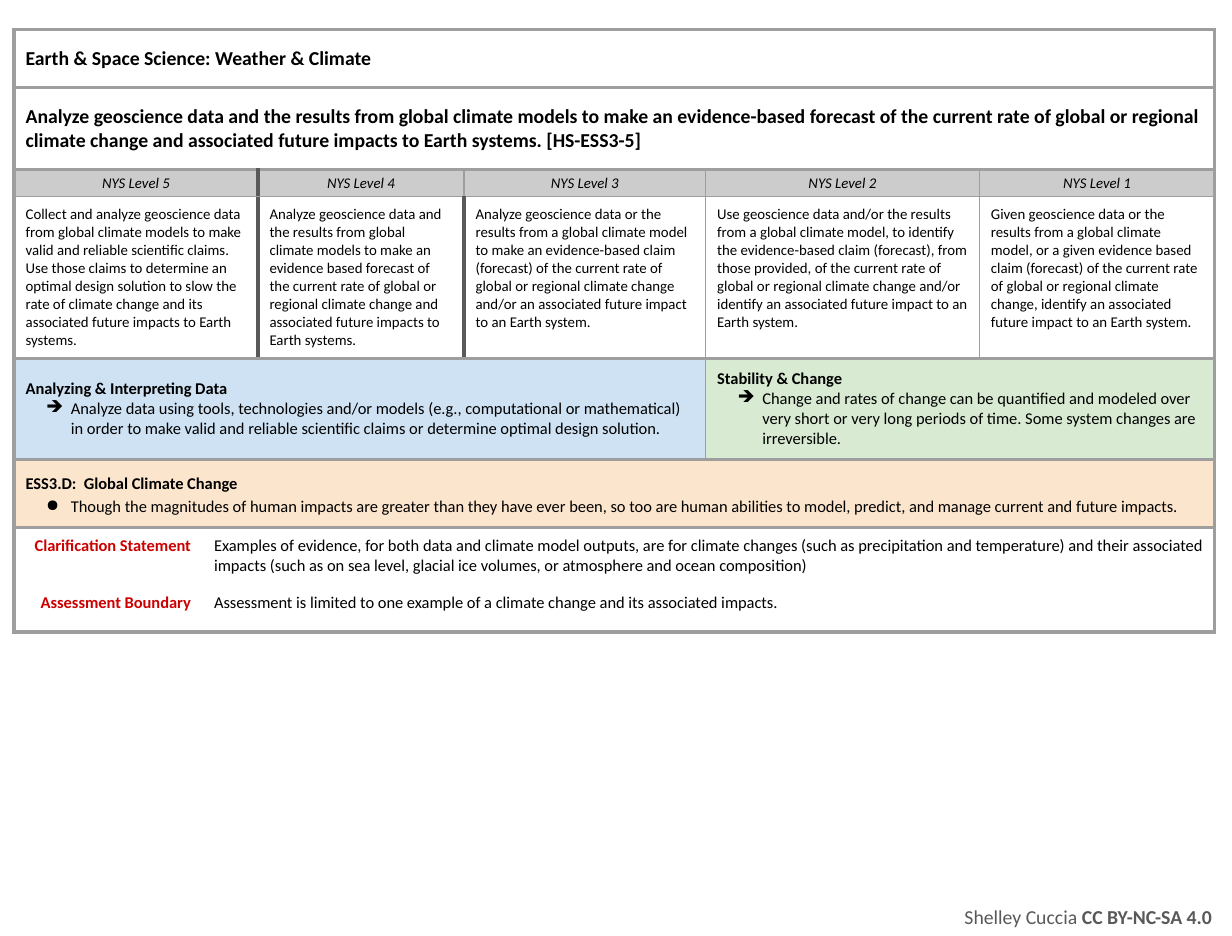
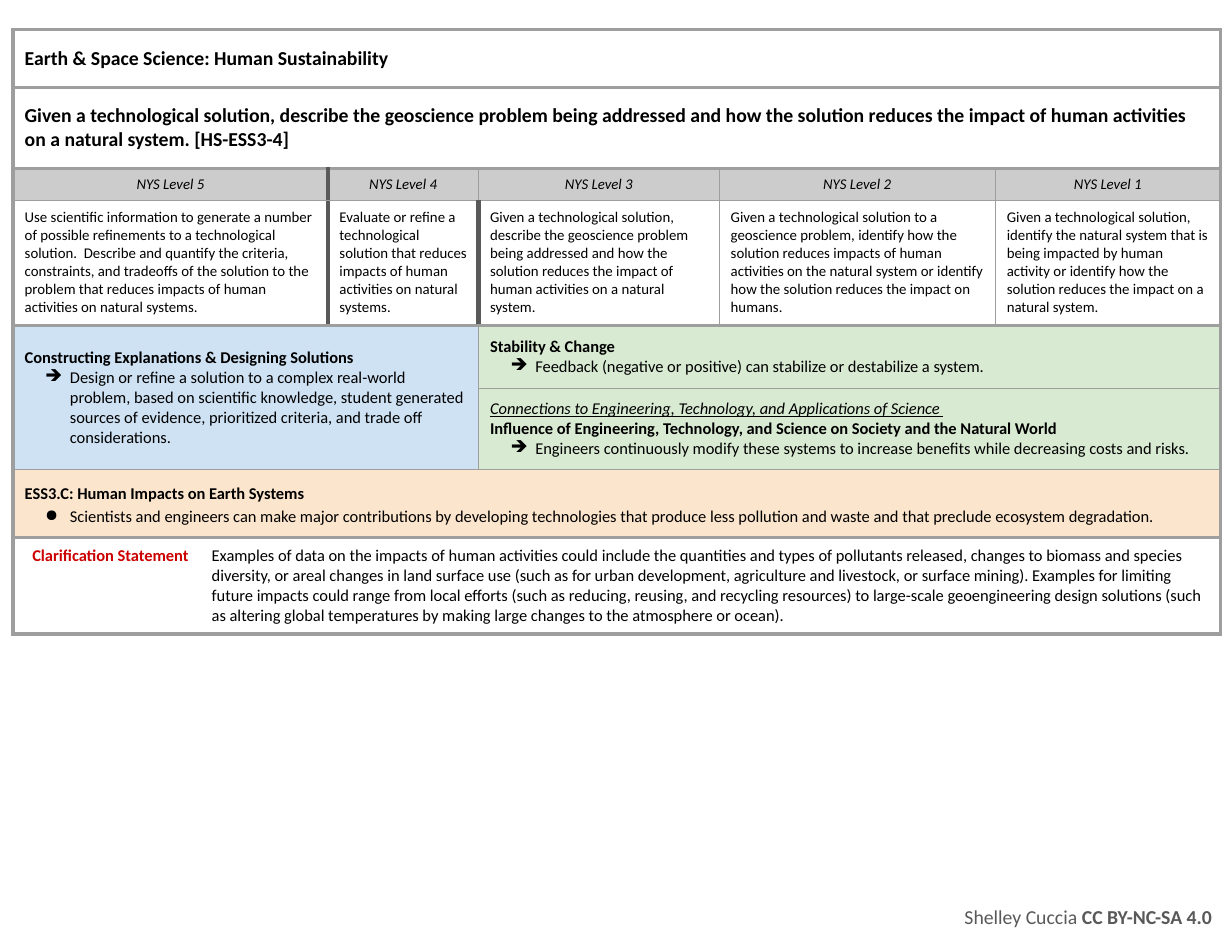
import dataclasses

import pptx
import pptx.dml.color
import pptx.enum.text
import pptx.oxml.ns
import pptx.util
from lxml import etree
from pptx.util import Cm

BLACK = pptx.dml.color.RGBColor(0x00, 0x00, 0x00)
RED = pptx.dml.color.RGBColor(0xCC, 0x00, 0x00)
GREY = pptx.dml.color.RGBColor(0x9E, 0x9E, 0x9E)
DARK_GREY = pptx.dml.color.RGBColor(0x59, 0x59, 0x59)
HEADER_GREY = pptx.dml.color.RGBColor(0xCC, 0xCC, 0xCC)
BLUE = pptx.dml.color.RGBColor(0xCF, 0xE2, 0xF3)
GREEN = pptx.dml.color.RGBColor(0xD9, 0xEA, 0xD3)
ORANGE = pptx.dml.color.RGBColor(0xFC, 0xE5, 0xCD)

FONT = "Calibri"
MIDDLE = pptx.enum.text.MSO_ANCHOR.MIDDLE
TOP = pptx.enum.text.MSO_ANCHOR.TOP
LEFT = pptx.enum.text.PP_ALIGN.LEFT
CENTER = pptx.enum.text.PP_ALIGN.CENTER
RIGHT = pptx.enum.text.PP_ALIGN.RIGHT

# Cell edges: colour and width in points
THICK = (GREY, 2.25)
THIN = (GREY, 0.75)
DARK = (DARK_GREY, 3)
BOX = (THICK, THICK, THICK, THICK)

# First column and column count of the five level cells
LEVEL_SPANS = [(0, 2), (2, 1), (3, 1), (4, 1), (5, 1)]
LEVEL_NAMES = [f"NYS Level {number}" for number in range(5, 0, -1)]
HEADER_EDGES = [THICK, DARK, THIN, THIN, THIN, THICK]
LEVEL_EDGES = [THICK, DARK, DARK, THIN, THIN, THICK]


@dataclasses.dataclass
class Line:
    """One paragraph of a cell and its look."""
    text: str
    size: float = 10
    bold: bool = False
    italic: bool = False
    underline: bool = False
    color: pptx.dml.color.RGBColor = BLACK
    align: pptx.enum.text.PP_ALIGN = LEFT
    bullet: str = ""
    spacing: float = 1.0


def add_element(parent, tag, **attributes):
    return etree.SubElement(parent, pptx.oxml.ns.qn(tag), attributes)


def set_edges(cell, edges):
    """Edges come as left, top, right, bottom; None draws nothing."""
    left, top, right, bottom = edges
    properties = cell._tc.get_or_add_tcPr()
    for side, edge in (("L", left), ("R", right), ("T", top), ("B", bottom)):
        color, width = edge or (None, 0)
        line = add_element(properties, f"a:ln{side}", w=str(pptx.util.Pt(width)))
        if edge:
            fill = add_element(line, "a:solidFill")
            add_element(fill, "a:srgbClr", val=str(color))
        else:
            add_element(line, "a:noFill")


def set_bullet(paragraph, character):
    properties = paragraph._p.get_or_add_pPr()
    properties.set("marL", str(Cm(0.97)))
    properties.set("indent", str(Cm(-0.53)))
    color = add_element(properties, "a:buClr")
    add_element(color, "a:srgbClr", val=str(BLACK))
    add_element(properties, "a:buChar", char=character)


def write_lines(text_frame, lines):
    for index, line in enumerate(lines):
        paragraph = text_frame.paragraphs[0] if index == 0 else text_frame.add_paragraph()
        paragraph.text = line.text
        paragraph.alignment = line.align
        paragraph.line_spacing = line.spacing
        if line.bullet:
            set_bullet(paragraph, line.bullet)
        font = paragraph.font
        font.name = FONT
        font.size = pptx.util.Pt(line.size)
        font.bold = line.bold
        font.italic = line.italic
        font.underline = line.underline
        font.color.rgb = line.color


def fill_cell(table, row, column, lines, edges, span=(1, 1), fill=None,
              anchor=MIDDLE, margin=0.23):
    """Merge a span of rows and columns, then write and format its cell."""
    rows, columns = span
    cell = table.cell(row, column)
    if span != (1, 1):
        cell.merge(table.cell(row + rows - 1, column + columns - 1))
    for row_index in range(row, row + rows):
        for column_index in range(column, column + columns):
            part = table.cell(row_index, column_index)
            set_edges(part, edges)
            if fill is None:
                part.fill.background()
            else:
                part.fill.solid()
                part.fill.fore_color.rgb = fill
    cell.vertical_anchor = anchor
    cell.margin_left = cell.margin_right = Cm(0.25)
    cell.margin_top = cell.margin_bottom = Cm(margin)
    write_lines(cell.text_frame, lines)


def add_standard_table(slide, left, widths, heights):
    frame = slide.shapes.add_table(len(heights), len(widths), Cm(left), Cm(0.64),
                                   Cm(sum(widths)), Cm(sum(heights)))
    table = frame.table
    table.first_row = table.horz_banding = False
    for column, width in zip(table.columns, widths):
        column.width = Cm(width)
    for row, height in zip(table.rows, heights):
        row.height = Cm(height)
    return table


def fill_headings(table, texts):
    for row, text in enumerate(texts):
        fill_cell(table, row, 0, [Line(text, size=12, bold=True)], BOX,
                  span=(1, 6), margin=0.36)


def fill_levels(table, texts):
    for index, (column, columns) in enumerate(LEVEL_SPANS):
        left, right = HEADER_EDGES[index:index + 2]
        header = Line(LEVEL_NAMES[index], size=9, italic=True, align=CENTER)
        fill_cell(table, 2, column, [header], (left, THICK, right, THIN),
                  span=(1, columns), fill=HEADER_GREY, margin=0.1)
        left, right = LEVEL_EDGES[index:index + 2]
        fill_cell(table, 3, column, [Line(texts[index], size=9)],
                  (left, THIN, right, THICK), span=(1, columns), anchor=TOP, margin=0.18)


def topic(title, point):
    return [Line(title, bold=True), Line(point, bullet="➔")]


def fill_core_idea(table, row, title, point, top):
    lines = [Line(title, bold=True, spacing=1.15), Line(point, bullet="●", spacing=1.15)]
    fill_cell(table, row, 0, lines, (THICK, top, THICK, THICK), span=(1, 6), fill=ORANGE)


def fill_notes(table, first_row, notes):
    """Red labels with their texts, framed as one block."""
    for index, (label, text) in enumerate(notes):
        row = first_row + index
        top = THICK if index == 0 else None
        bottom = THICK if index == len(notes) - 1 else None
        fill_cell(table, row, 0, [Line(label, bold=True, color=RED, align=RIGHT)],
                  (THICK, top, None, bottom), anchor=TOP, margin=0.18)
        fill_cell(table, row, 1, [Line(text)], (None, top, THICK, bottom),
                  span=(1, 5), anchor=TOP, margin=0.18)


def add_footer(slide):
    box = slide.shapes.add_textbox(Cm(19.86), Cm(19.23), Cm(6.48), Cm(0.84))
    text_frame = box.text_frame
    text_frame.word_wrap = True
    text_frame.vertical_anchor = MIDDLE
    text_frame.margin_left = text_frame.margin_right = Cm(0.25)
    text_frame.margin_top = text_frame.margin_bottom = Cm(0.25)
    write_lines(text_frame, [Line("Shelley Cuccia ", size=12, color=DARK_GREY, align=RIGHT)])
    license_run = text_frame.paragraphs[0].add_run()
    license_run.text = "CC BY-NC-SA 4.0 "
    license_run.font.bold = True


def build_climate(slide):
    table = add_standard_table(slide, 0.3, [4.04, 1.19, 4.42, 5.18, 5.87, 5.05],
                               [1.23, 1.73, 0.59, 3.46, 2.18, 1.45, 1.22, 1.02])
    fill_headings(table, [
        "Earth & Space Science: Weather & Climate",
        "Analyze geoscience data and the results from global climate models to make an "
        "evidence-based forecast of the current rate of global or regional climate change "
        "and associated future impacts to Earth systems. [HS-ESS3-5]",
    ])
    fill_levels(table, [
        "Collect and analyze geoscience data from global climate models to make valid and "
        "reliable scientific claims. Use those claims to determine an optimal design solution "
        "to slow the rate of climate change and its associated future impacts to Earth systems.",
        "Analyze geoscience data and the results from global climate models to make an evidence "
        "based forecast of the current rate of global or regional climate change and associated "
        "future impacts to Earth systems.",
        "Analyze geoscience data or the results from a global climate model to make an "
        "evidence-based claim (forecast) of the current rate of global or regional climate "
        "change and/or an associated future impact to an Earth system.",
        "Use geoscience data and/or the results from a global climate model, to identify the "
        "evidence-based claim (forecast), from those provided, of the current rate of global or "
        "regional climate change and/or identify an associated future impact to an Earth system.",
        "Given geoscience data or the results from a global climate model, or a given evidence "
        "based claim (forecast) of the current rate of global or regional climate change, "
        "identify an associated future impact to an Earth system.",
    ])
    practice = topic(
        "Analyzing & Interpreting Data",
        "Analyze data using tools, technologies and/or models (e.g., computational or "
        "mathematical) in order to make valid and reliable scientific claims or determine "
        "optimal design solution.")
    fill_cell(table, 4, 0, practice, (THICK, THICK, THIN, THICK), span=(1, 4), fill=BLUE)
    concept = topic(
        "Stability & Change",
        "Change and rates of change can be quantified and modeled over very short or very long "
        "periods of time. Some system changes are irreversible.")
    fill_cell(table, 4, 4, concept, (THIN, THICK, THICK, THICK), span=(1, 2), fill=GREEN)
    fill_core_idea(
        table, 5, "ESS3.D:  Global Climate Change",
        "Though the magnitudes of human impacts are greater than they have ever been, so too are "
        "human abilities to model, predict, and manage current and future impacts.", THICK)
    fill_notes(table, 6, [
        ("Clarification Statement",
         "Examples of evidence, for both data and climate model outputs, are for climate changes "
         "(such as precipitation and temperature) and their associated impacts (such as on sea "
         "level, glacial ice volumes, or atmosphere and ocean composition)"),
        ("Assessment Boundary",
         "Assessment is limited to one example of a climate change and its associated impacts."),
    ])


def build_sustainability(slide):
    table = add_standard_table(slide, 0.28, [4.01, 2.74, 3.23, 5.16, 5.92, 4.83],
                               [1.23, 1.73, 0.69, 2.69, 1.34, 1.75, 1.45, 2.07])
    fill_headings(table, [
        "Earth & Space Science: Human Sustainability",
        "Given a technological solution, describe the geoscience problem being addressed and how "
        "the solution reduces the impact of human activities on a natural system. [HS-ESS3-4]",
    ])
    fill_levels(table, [
        "Use scientific information to generate a number of possible refinements to a "
        "technological solution.  Describe and quantify the criteria, constraints, and tradeoffs "
        "of the solution to the problem that reduces impacts of human activities on natural "
        "systems.",
        "Evaluate or refine a technological solution that reduces impacts of human activities on "
        "natural systems.",
        "Given a technological solution, describe the geoscience problem being addressed and how "
        "the solution reduces the impact of human activities on a natural system.",
        "Given a technological solution to a geoscience problem, identify how the solution "
        "reduces impacts of human activities on the natural system or identify how the solution "
        "reduces the impact on humans.",
        "Given a technological solution, identify the natural system that is being impacted by "
        "human activity or identify how the solution reduces the impact on a natural system.",
    ])
    practice = topic(
        "Constructing Explanations & Designing Solutions",
        "Design or refine a solution to a complex real-world problem, based on scientific "
        "knowledge, student generated sources of evidence, prioritized criteria, and trade off "
        "considerations.")
    fill_cell(table, 4, 0, practice, (THICK, THICK, THIN, THIN), span=(2, 3), fill=BLUE)
    concept = topic("Stability & Change",
                    "Feedback (negative or positive) can stabilize or destabilize a system.")
    fill_cell(table, 4, 3, concept, (THIN, THICK, THICK, THIN), span=(1, 3), fill=GREEN)
    connections = [
        Line("Connections to Engineering, Technology, and Applications of Science ",
             italic=True, underline=True),
        *topic("Influence of Engineering, Technology, and Science on Society and the Natural World",
               "Engineers continuously modify these systems to increase benefits while "
               "decreasing costs and risks."),
    ]
    fill_cell(table, 5, 3, connections, (THIN, THIN, THICK, THIN), span=(1, 3), fill=GREEN)
    fill_core_idea(
        table, 6, "ESS3.C: Human Impacts on Earth Systems",
        "Scientists and engineers can make major contributions by developing technologies that "
        "produce less pollution and waste and that preclude ecosystem degradation.", THIN)
    fill_notes(table, 7, [
        ("Clarification Statement",
         "Examples of data on the impacts of human activities could include the quantities and "
         "types of pollutants released, changes to biomass and species diversity, or areal "
         "changes in land surface use (such as for urban development, agriculture and livestock, "
         "or surface mining). Examples for limiting future impacts could range from local efforts "
         "(such as reducing, reusing, and recycling resources) to large-scale geoengineering "
         "design solutions (such as altering global temperatures by making large changes to the "
         "atmosphere or ocean)."),
    ])


def main():
    presentation = pptx.Presentation()
    presentation.slide_width = Cm(26.42)
    presentation.slide_height = Cm(20.07)
    blank_layout = presentation.slide_layouts[6]
    for build in (build_climate, build_sustainability):
        slide = presentation.slides.add_slide(blank_layout)
        build(slide)
        add_footer(slide)
    presentation.save("out.pptx")


if __name__ == "__main__":
    main()
